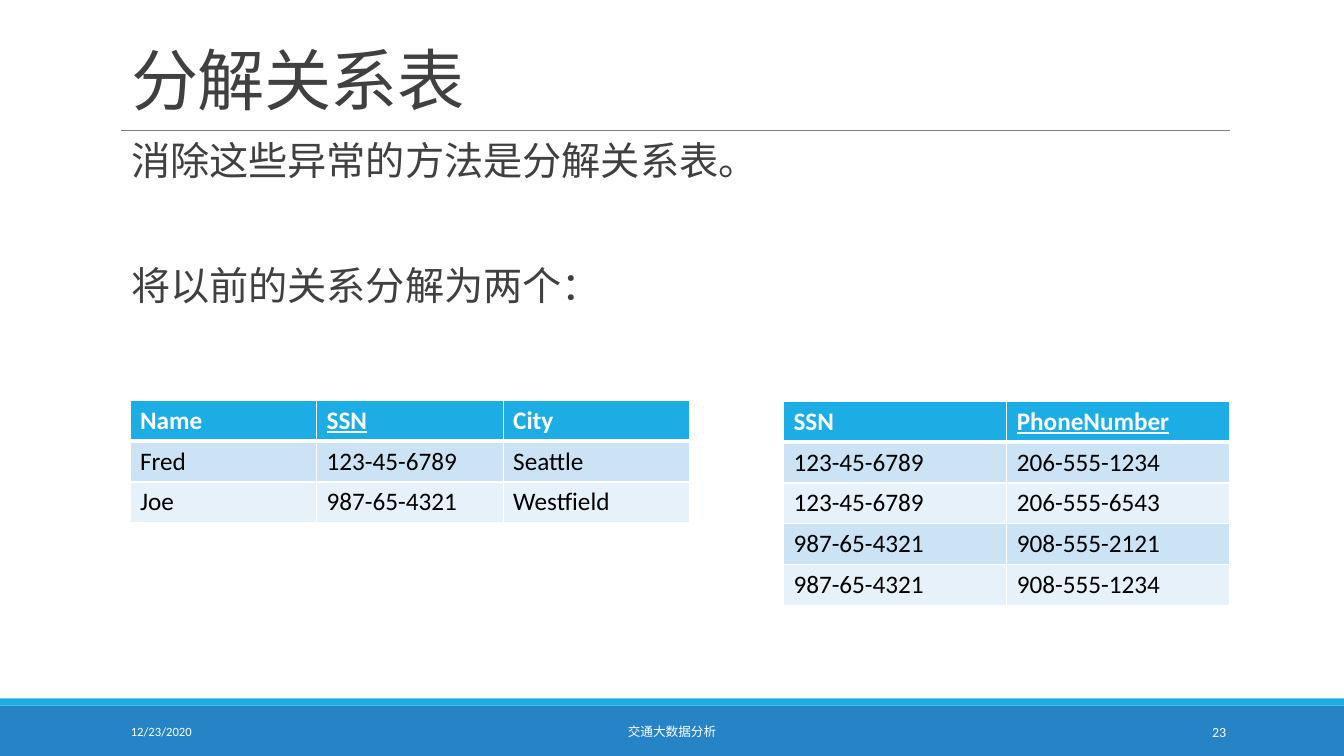
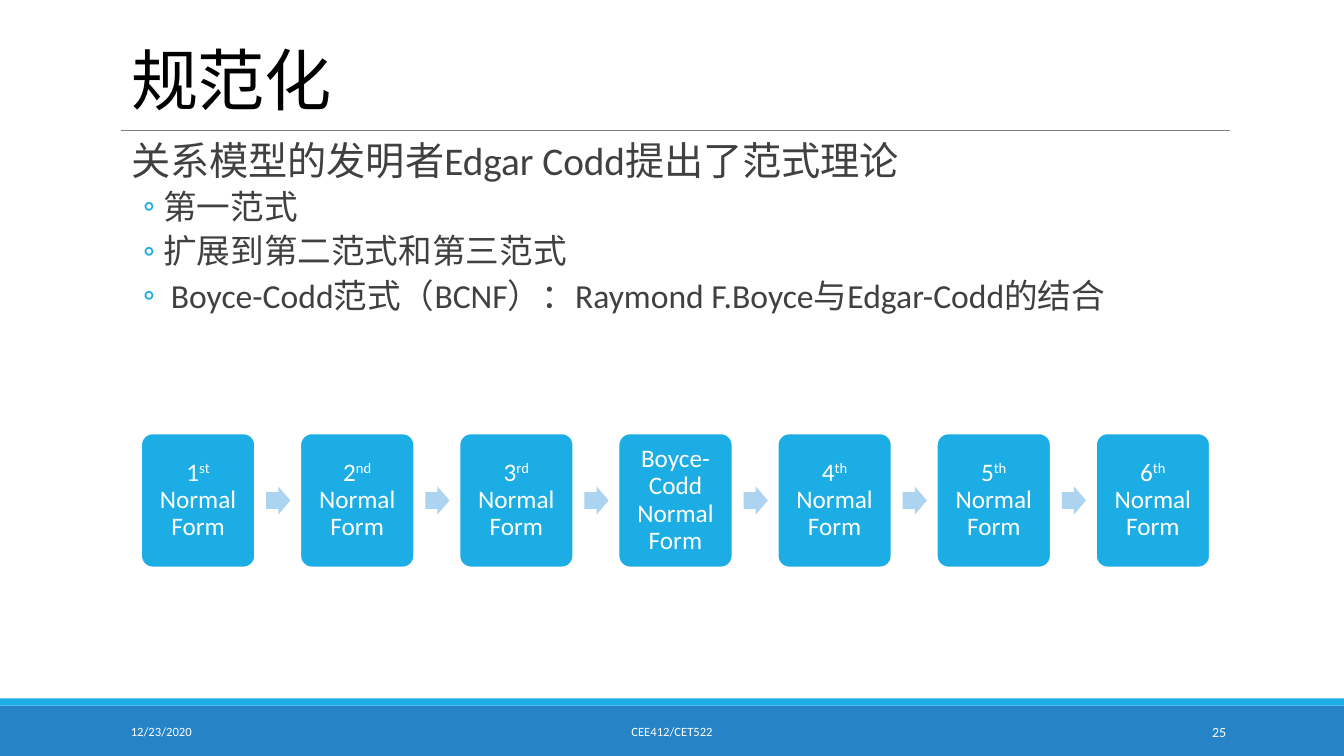
from lxml.etree import SubElement
from pptx import Presentation
from pptx.dml.color import RGBColor
from pptx.enum.shapes import MSO_CONNECTOR as Connector, MSO_SHAPE as Shape
from pptx.enum.text import MSO_ANCHOR as Anchor, MSO_AUTO_SIZE as AutoSize, PP_ALIGN as Align
from pptx.oxml.ns import qn
from pptx.util import Inches, Pt

FONT = "Calibri"
WHITE, BLACK, DARK, GRAY = "FFFFFF", "000000", "404040", "808080"
BLUE, CYAN, PALE_ARROW = "2683C6", "1CADE4", "ACD3EF"
ROW_FILLS = ("CCE3F5", "E7F1FA")
WIDTH, HEIGHT = 13.33, 7.5
LEFT, CONTENT_WIDTH = 1.2, 11


def color(value):
    return RGBColor.from_string(value)


def add_span(para, text, size=18, ink=DARK, bold=False, underline=False,
             spacing=None, baseline=None):
    """Add a run; spacing is in hundredths of a point, baseline in 1/1000 %."""
    span = para.add_run()
    span.text = text
    font = span.font
    font.name, font.size, font.bold, font.underline = FONT, Pt(size), bold, underline
    font.color.rgb = color(ink)
    for name, value in (("spc", spacing), ("baseline", baseline)):
        if value is not None:
            span._r.get_or_add_rPr().set(name, str(value))


def format_para(para, align=Align.LEFT, line=None, before=0, after=0):
    para.alignment = align
    para.line_spacing = line
    para.space_before, para.space_after = Pt(before), Pt(after)


def set_frame(frame, anchor=Anchor.TOP, inset=(0.1, 0.05)):
    frame.word_wrap = True
    frame.auto_size = AutoSize.NONE
    frame.vertical_anchor = anchor
    frame.margin_left = frame.margin_right = Inches(inset[0])
    frame.margin_top = frame.margin_bottom = Inches(inset[1])
    return frame


def set_indent(para, left, hanging=0):
    properties = para._p.get_or_add_pPr()
    properties.set("marL", str(Inches(left)))
    properties.set("indent", str(-Inches(hanging)))
    return properties


def add_bullet(para, char):
    properties = set_indent(para, 0.42, 0.2)
    bullet_color = SubElement(properties, qn("a:buClr"))
    SubElement(bullet_color, qn("a:srgbClr"), val=CYAN)
    SubElement(properties, qn("a:buFont"), typeface=FONT)
    SubElement(properties, qn("a:buChar"), char=char)


def add_block(page, kind, left, top, width, height, fill, line=None):
    block = page.shapes.add_shape(kind, *map(Inches, (left, top, width, height)))
    block.shadow.inherit = False
    block.fill.solid()
    block.fill.fore_color.rgb = color(fill)
    if line:
        block.line.color.rgb = color(line)
        block.line.width = Pt(1.25)
    else:
        block.line.fill.background()
    return block


def add_rule(page, left, right, top):
    rule = page.shapes.add_connector(
        Connector.STRAIGHT, Inches(left), Inches(top), Inches(right), Inches(top))
    rule.line.color.rgb = color(GRAY)
    rule.line.width = Pt(0.5)
    SubElement(rule._element.spPr, qn("a:effectLst"))


def add_footer_text(page, text, left, width, align, size=9):
    box = page.shapes.add_textbox(*map(Inches, (left, 7.06, width, 0.4)))
    para = set_frame(box.text_frame, Anchor.MIDDLE).paragraphs[0]
    format_para(para, align)
    add_span(para, text, size=size, ink=WHITE)


def add_page(deck, title, footer, number, title_ink=DARK):
    """Add a slide with the shared bands, rule, title and footer."""
    page = deck.slides.add_slide(deck.slide_layouts[5])
    add_block(page, Shape.RECTANGLE, 0, 7, WIDTH, 0.5, BLUE)
    add_block(page, Shape.RECTANGLE, 0, 6.93, WIDTH, 0.07, CYAN)
    add_rule(page, LEFT, LEFT + CONTENT_WIDTH, 1.29)

    heading = page.shapes.title
    heading.left, heading.top = Inches(LEFT), Inches(0.14)
    heading.width, heading.height = Inches(CONTENT_WIDTH), Inches(1.09)
    para = set_frame(heading.text_frame, Anchor.BOTTOM).paragraphs[0]
    format_para(para, line=0.85)
    add_span(para, title, size=48, ink=title_ink, spacing=-50)

    add_footer_text(page, "12/23/2020", LEFT, 2.7, Align.LEFT)
    add_footer_text(page, footer, 4.03, 5.27, Align.CENTER)
    add_footer_text(page, number, 10.83, 1.43, Align.RIGHT, size=10)
    return page


def add_body(page, statements, bullets=(), gap=12):
    """Add main statements, gap points apart, then second-level bullets."""
    box = page.shapes.add_textbox(*map(Inches, (LEFT, 1.36, CONTENT_WIDTH, 5.53)))
    frame = set_frame(box.text_frame, inset=(0, 0.05))
    for index, text in enumerate(statements):
        para = frame.add_paragraph() if index else frame.paragraphs[0]
        set_indent(para, 0.1)
        format_para(para, line=0.9, before=gap if index else 0, after=2)
        add_span(para, text, size=28)
    for text in bullets:
        para = frame.add_paragraph()
        para.level = 1
        add_bullet(para, "◦")
        format_para(para, line=0.9, before=2, after=4)
        add_span(para, text, size=24)


def set_borders(cell, **widths):
    """Draw white cell borders, 1 point wide unless a side is given."""
    properties = cell._tc.get_or_add_tcPr()
    for side in "LRTB":
        line = SubElement(properties, qn(f"a:ln{side}"), w=str(Pt(widths.get(side, 1))))
        SubElement(SubElement(line, qn("a:solidFill")), qn("a:srgbClr"), val=WHITE)


def add_relation(page, rows, key, left, top, width):
    """Add a table whose key column has an underlined heading."""
    row_height = 0.4
    frame = page.shapes.add_table(
        len(rows), len(rows[0]),
        *map(Inches, (left, top, width, row_height * len(rows))))
    for row_index, row in enumerate(rows):
        header = row_index == 0
        for column_index, text in enumerate(row):
            cell = frame.table.cell(row_index, column_index)
            set_borders(cell, T=3 if row_index == 1 else 1, B=3 if header else 1)
            cell.fill.solid()
            cell.fill.fore_color.rgb = color(
                CYAN if header else ROW_FILLS[(row_index - 1) % 2])
            add_span(cell.text_frame.paragraphs[0], text,
                     ink=WHITE if header else BLACK, bold=header,
                     underline=header and text == key)


def add_form_chain(page, forms):
    """Add a row of boxes with block arrows between them."""
    first, last, top, width, height = 1.4, 10.87, 4.3, 1.13, 1.33
    arrow_width, arrow_height = 0.24, 0.28
    pitch = (last - first) / (len(forms) - 1)
    for index, (name, ordinal) in enumerate(forms):
        left = first + index * pitch
        box = add_block(page, Shape.ROUNDED_RECTANGLE, left, top, width, height, CYAN, WHITE)
        box.adjustments[0] = 0.1
        para = set_frame(box.text_frame, Anchor.MIDDLE, (0.07, 0.07)).paragraphs[0]
        format_para(para, Align.CENTER, line=0.9)
        add_span(para, name, ink=WHITE)
        if ordinal:
            add_span(para, ordinal, ink=WHITE, baseline=30000)
        add_span(para, " Normal Form", ink=WHITE)
        if index < len(forms) - 1:
            arrow = add_block(page, Shape.RIGHT_ARROW, left + 1.24,
                              top + (height - arrow_height) / 2,
                              arrow_width, arrow_height, PALE_ARROW)
            arrow.adjustments[0] = 0.6


def build_decomposition(deck):
    page = add_page(deck, "分解关系表", "交通大数据分析", "23")
    add_body(page, ["消除这些异常的方法是分解关系表。", "将以前的关系分解为两个："], gap=57)
    people = [
        ("Name", "SSN", "City"),
        ("Fred", "123-45-6789", "Seattle"),
        ("Joe", "987-65-4321", "Westfield"),
    ]
    phones = [
        ("SSN", "PhoneNumber"),
        ("123-45-6789", "206-555-1234"),
        ("123-45-6789", "206-555-6543"),
        ("987-65-4321", "908-555-2121"),
        ("987-65-4321", "908-555-1234"),
    ]
    add_relation(page, people, "SSN", 1.29, 3.97, 5.55)
    add_relation(page, phones, "PhoneNumber", 7.77, 3.98, 4.43)


def build_normalization(deck):
    page = add_page(deck, "规范化", "CEE412/CET522", "25", title_ink=BLACK)
    add_body(page, ["关系模型的发明者Edgar Codd提出了范式理论"], [
        "第一范式",
        "扩展到第二范式和第三范式",
        " Boyce-Codd范式（BCNF）：Raymond F.Boyce与Edgar-Codd的结合",
    ])
    add_form_chain(page, [
        ("1", "st"), ("2", "nd"), ("3", "rd"), ("Boyce-Codd", ""),
        ("4", "th"), ("5", "th"), ("6", "th"),
    ])


def main():
    deck = Presentation()
    deck.slide_width, deck.slide_height = Inches(WIDTH), Inches(HEIGHT)
    build_decomposition(deck)
    build_normalization(deck)
    deck.save("out.pptx")


if __name__ == "__main__":
    main()
